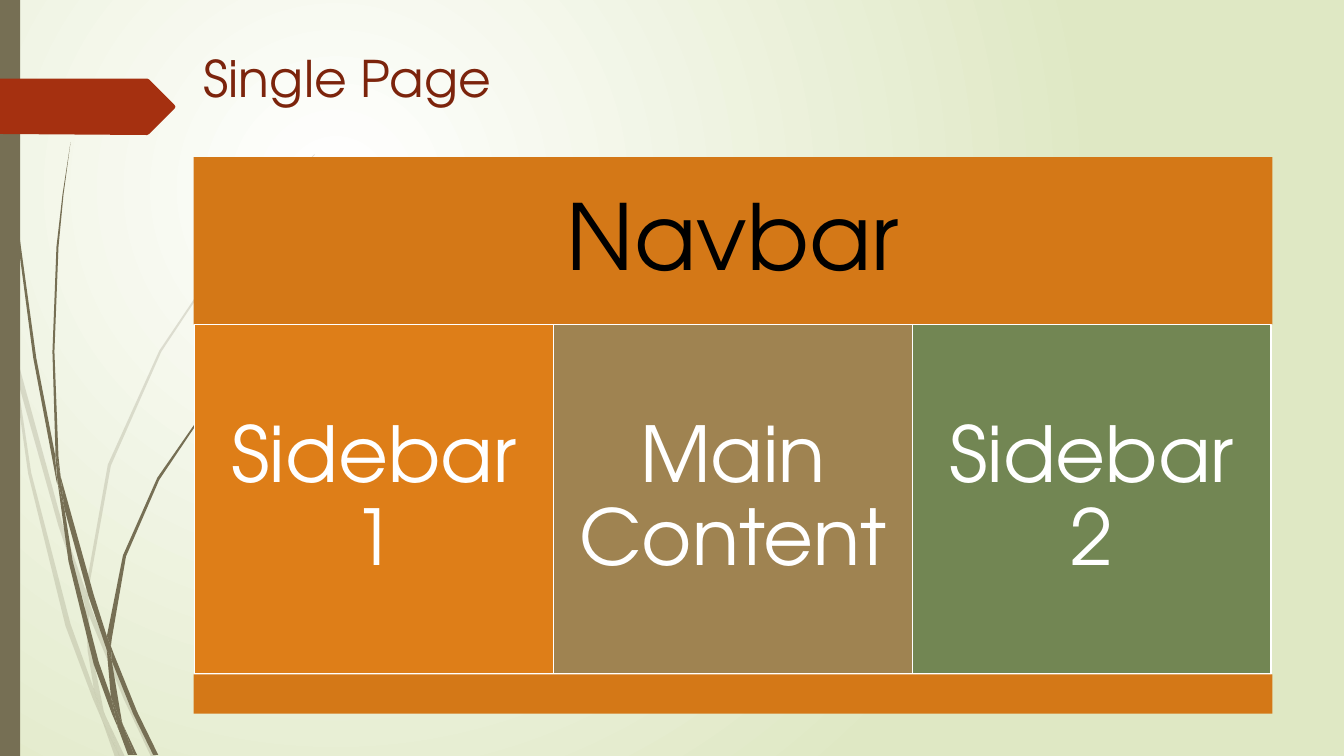
from dataclasses import dataclass

import pptx
import pptx.dml.color
import pptx.enum.shapes
import pptx.enum.text
import pptx.oxml
import pptx.oxml.ns
import pptx.util

Inches = pptx.util.Inches
Shape = pptx.enum.shapes.MSO_SHAPE
Align = pptx.enum.text.PP_ALIGN
Anchor = pptx.enum.text.MSO_ANCHOR


@dataclass(frozen=True)
class Theme:
    font: str = "TeX Gyre Adventor"
    title_size: int = 36
    navbar_size: int = 65
    column_size: int = 55
    outline: float = 1.25
    white: str = "FFFFFF"
    black: str = "000000"
    mist: str = "DFE8C4"
    bark: str = "766F54"
    ribbon: str = "A53010"
    title: str = "7C240C"
    bar: str = "D47817"
    columns: tuple = ("DE7E18", "9F8351", "728653")


THEME = Theme()

# Corner points of the grass pieces, in inches on the page.
PALE_GRASS = [
    [(0.11, 3.5), (0.09, 3.22), (0, 2.82), (0, 2.99), (0.1, 3.44)],
    [(0.58, 5.22), (0.84, 5.99), (0.85, 5.86), (0.62, 5.2), (0.14, 3.45), (0.17, 3.76)],
    [(0.92, 6.07), (0.88, 5.96), (0.88, 6.1), (1.23, 6.94), (1.5, 7.51), (1.55, 7.51),
     (1.27, 6.92)],
    [(1.19, 7.51), (1.24, 7.51), (1.05, 7.11)],
    [(0.93, 6.83), (0.7, 6.19), (0.31, 4.69), (0.17, 3.76), (0.11, 3.5), (0.28, 4.7),
     (0.65, 6.21), (0.92, 6.93), (1.01, 7.14), (0.99, 7.07)],
    [(0.84, 5.99), (0.87, 6.46), (0.93, 6.83), (0.96, 6.92), (1.05, 7.11), (1.03, 7.06),
     (0.91, 6.46), (0.88, 6.1), (0.88, 6.08)],
    [(0.88, 5.84), (1.1, 4.62), (1.6, 3.49), (2.29, 2.45), (2.68, 1.98), (2.9, 1.75),
     (3.12, 1.54), (3.12, 1.53), (2.89, 1.75), (2.68, 1.97), (2.28, 2.44), (1.58, 3.48),
     (1.07, 4.61), (0.85, 5.84), (0.85, 5.86), (0.88, 5.96)],
    [(1.01, 7.14), (1.14, 7.51), (1.19, 7.51)],
    [(0.88, 6.08), (0.88, 6.1), (0.88, 5.96), (0.85, 5.86), (0.84, 5.99)],
    [(0.96, 6.92), (0.93, 6.83), (0.99, 7.07), (1.01, 7.14), (1.19, 7.51), (1.05, 7.11)],
]
DARK_GRASS = [
    [(0.07, 1.1), (0.17, 2.33), (0.33, 3.55), (0.56, 4.77), (0.57, 4.81), (0.55, 4.57),
     (0.55, 4.53), (0.36, 3.55), (0.19, 2.32), (0.08, 1.09), (0.05, 0.48), (0.04, 0),
     (0.03, 0), (0.04, 0.48)],
    [(0.88, 5.92), (1.06, 6.45), (1.06, 6.33), (1.06, 6.31), (0.93, 5.9), (0.6, 4.72),
     (0.64, 5.05)],
    [(1.13, 6.49), (1.1, 6.41), (1.11, 6.56), (1.32, 7.08), (1.52, 7.49), (1.57, 7.49),
     (1.36, 7.06)],
    [(1.1, 6.91), (0.98, 6.57), (0.72, 5.56), (0.64, 5.05), (0.57, 4.77), (0.68, 5.57),
     (0.93, 6.59), (1.11, 7.08), (1.17, 7.22), (1.16, 7.17)],
    [(0.6, 4.72), (0.58, 4.53), (0.54, 3.49), (0.58, 2.45), (0.63, 1.93), (0.7, 1.41),
     (0.62, 1.93), (0.56, 2.45), (0.52, 3.49), (0.55, 4.49)],
    [(1.33, 7.49), (1.36, 7.49), (1.22, 7.19)],
    [(0.57, 4.77), (0.64, 5.05), (0.6, 4.72), (0.55, 4.49), (0.55, 4.53)],
    [(1.11, 6.33), (1.25, 5.52), (1.58, 4.76), (2.05, 4.06), (2.31, 3.74), (2.45, 3.59),
     (2.61, 3.44), (2.6, 3.44), (2.45, 3.58), (2.31, 3.73), (2.04, 4.05), (1.56, 4.74),
     (1.22, 5.51), (1.06, 6.31), (1.1, 6.41)],
    [(1.17, 7.22), (1.27, 7.49), (1.31, 7.49)],
    [(1.06, 6.45), (1.1, 6.91), (1.16, 7.06), (1.22, 7.19), (1.21, 7.16), (1.11, 6.56),
     (1.09, 6.51)],
    [(1.06, 6.45), (1.09, 6.51), (1.11, 6.56), (1.1, 6.41), (1.06, 6.31), (1.06, 6.33)],
    [(1.16, 7.06), (1.1, 6.91), (1.16, 7.17), (1.17, 7.22), (1.3, 7.49), (1.33, 7.49),
     (1.22, 7.19)],
]
RIBBON = [(0, 0.78), (1.46, 0.78), (1.48, 0.79), (1.73, 1.04), (1.74, 1.06), (1.73, 1.08),
          (1.48, 1.33), (1.46, 1.34), (0, 1.33)]


def rgb(value):
    return pptx.dml.color.RGBColor.from_string(value)


def paint(shape, fill, outline=None):
    shape.shadow.inherit = False
    shape.fill.solid()
    shape.fill.fore_color.rgb = rgb(fill)
    if outline:
        shape.line.color.rgb = rgb(outline)
        shape.line.width = pptx.util.Pt(THEME.outline)
    else:
        shape.line.fill.background()


def add_block(page, box, fill, outline=None):
    shape = page.shapes.add_shape(Shape.RECTANGLE, *map(Inches, box))
    paint(shape, fill, outline)
    return shape


def add_outline(page, points, fill, opacity=100):
    corners = [(Inches(x), Inches(y)) for x, y in points]
    builder = page.shapes.build_freeform(*corners[0])
    builder.add_line_segments(corners[1:], close=True)
    shape = builder.convert_to_shape()
    paint(shape, fill)
    if opacity < 100:
        color = next(shape.fill._xPr.iter(pptx.oxml.ns.qn("a:srgbClr")))
        color.append(pptx.oxml.parse_xml(
            f'<a:alpha {pptx.oxml.ns.nsdecls("a")} val="{opacity * 1000}"/>'))


def write(shape, text, size, color, frame_format, para_format):
    frame = shape.text_frame
    for name, value in {"word_wrap": True, **frame_format}.items():
        setattr(frame, name, value)
    para = frame.paragraphs[0]
    for name, value in para_format.items():
        setattr(para, name, value)
    span = para.add_run()
    span.text = text
    for name, value in {"name": THEME.font, "size": pptx.util.Pt(size)}.items():
        setattr(span.font, name, value)
    span.font.color.rgb = rgb(color)


def write_centred(shape, text, size, color, inset):
    sides = ("margin_left", "margin_top", "margin_right", "margin_bottom")
    frame_format = {side: Inches(inset) for side in sides}
    frame_format["vertical_anchor"] = Anchor.MIDDLE
    write(shape, text, size, color, frame_format,
          {"alignment": Align.CENTER, "line_spacing": 0.9})


def set_background(page):
    fill = page.background.fill
    fill.gradient()
    for stop, color in zip(fill.gradient_stops, (THEME.white, THEME.mist)):
        stop.color.rgb = rgb(color)
    linear = next(page.background._cSld.iter(pptx.oxml.ns.qn("a:lin")))
    linear.getparent().replace(linear, pptx.oxml.parse_xml(
        f'<a:path {pptx.oxml.ns.nsdecls("a")} path="circle">'
        '<a:fillToRect l="50000" t="50000" r="100000" b="100000"/></a:path>'))


def add_decoration(page):
    for pieces, opacity in ((PALE_GRASS, 20), (DARK_GRASS, 100)):
        for points in pieces:
            add_outline(page, points, THEME.bark, opacity)
    add_block(page, (0, 0, 0.2, 7.5), THEME.bark)
    add_outline(page, RIBBON, THEME.ribbon)


def add_title(page, box, text):
    title = page.shapes.add_textbox(*map(Inches, box))
    write(title, text, THEME.title_size, THEME.title, {"vertical_anchor": Anchor.TOP}, {})


def add_layout_diagram(page, box):
    """Stack a navbar, three equal columns and a footer in the box."""
    left, top, width, height = box
    navbar_height, footer_height, inset = 1.66, 0.39, 0.01
    navbar = add_block(page, (left, top, width, navbar_height), THEME.bar)
    write_centred(navbar, "Navbar", THEME.navbar_size, THEME.black, 0.27)

    column_width = (width - 2 * inset) / 3
    column_height = height - navbar_height - footer_height
    labels = ("Sidebar 1", "Main Content", "Sidebar 2")
    for index, (label, color) in enumerate(zip(labels, THEME.columns)):
        column_box = (left + inset + index * column_width, top + navbar_height,
                      column_width, column_height)
        column = add_block(page, column_box, color, THEME.white)
        write_centred(column, label, THEME.column_size, THEME.white, 0.23)

    add_block(page, (left, top + height - footer_height, width, footer_height), THEME.bar)


def main():
    deck = pptx.Presentation()
    deck.slide_width, deck.slide_height = Inches(13.33), Inches(7.5)
    page = deck.slides.add_slide(deck.slide_layouts[6])
    set_background(page)
    add_decoration(page)
    add_title(page, (1.92, 0.42, 9.75, 1.4), "Single Page")
    add_layout_diagram(page, (1.92, 1.56, 10.7, 5.52))
    deck.save("out.pptx")


if __name__ == "__main__":
    main()
